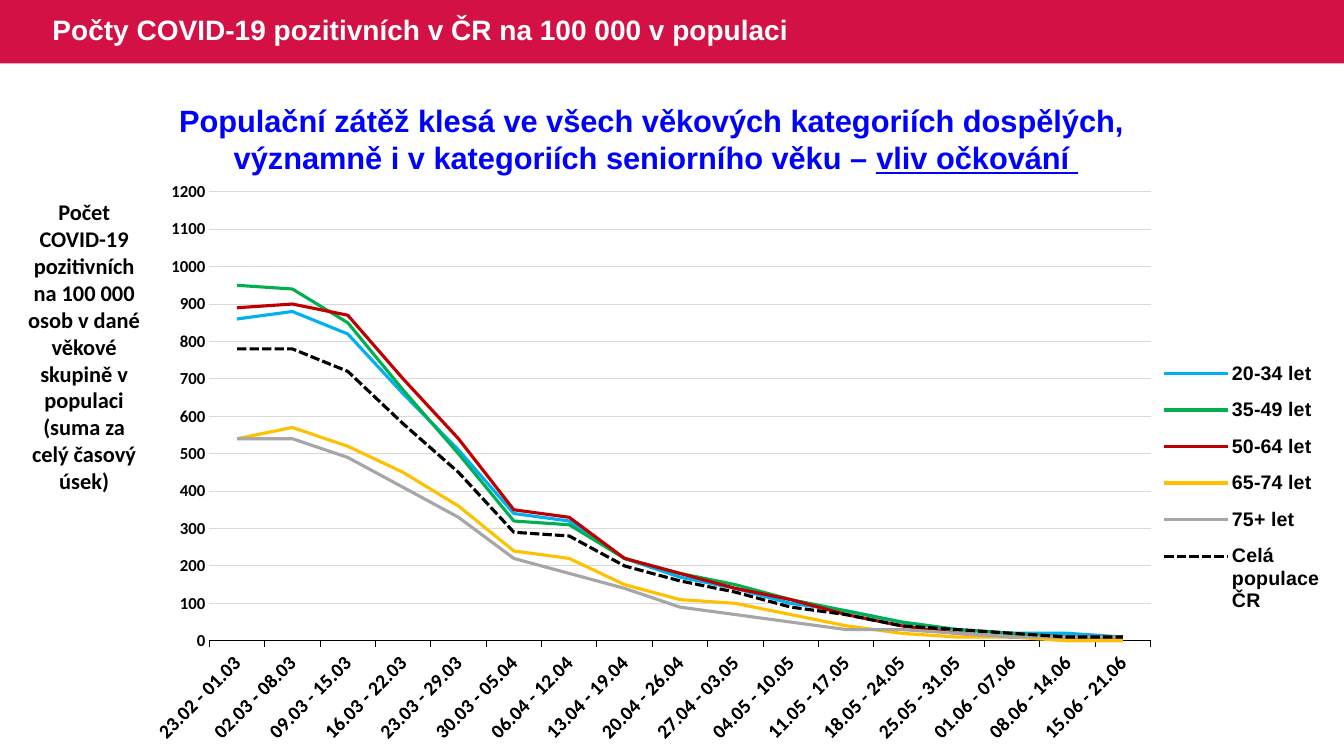
from lxml.etree import SubElement, Element
from pptx import Presentation
from pptx.chart.data import CategoryChartData
from pptx.dml.color import RGBColor
from pptx.enum.chart import XL_CHART_TYPE, XL_LEGEND_POSITION, XL_MARKER_STYLE, XL_TICK_MARK
from pptx.enum.dml import MSO_LINE
from pptx.enum.shapes import MSO_SHAPE
from pptx.enum.text import MSO_ANCHOR, MSO_AUTO_SIZE, PP_ALIGN
from pptx.oxml.ns import qn
from pptx.util import Inches, Pt

RED = RGBColor(0xD3, 0x11, 0x45)
WHITE = RGBColor(0xFF, 0xFF, 0xFF)
BLACK = RGBColor(0, 0, 0)
BLUE = RGBColor(0, 0, 0xFF)
GRID = RGBColor(0xD9, 0xD9, 0xD9)
SKY = RGBColor(0, 0xB0, 0xF0)
GREEN = RGBColor(0, 0xB0, 0x50)
WINE = RGBColor(0xC0, 0, 0)
GOLD = RGBColor(0xFF, 0xC0, 0)
GREY = RGBColor(0xA6, 0xA6, 0xA6)

WEEKS = [
    "23.02 - 01.03", "02.03 - 08.03", "09.03 - 15.03", "16.03 - 22.03",
    "23.03 - 29.03", "30.03 - 05.04", "06.04 - 12.04", "13.04 - 19.04",
    "20.04 - 26.04", "27.04 - 03.05", "04.05 - 10.05", "11.05 - 17.05",
    "18.05 - 24.05", "25.05 - 31.05", "01.06 - 07.06", "08.06 - 14.06",
    "15.06 - 21.06",
]
AGES = [
    ("20-34 let", SKY, [860, 880, 820, 660, 510, 340, 320, 220, 170, 140, 100, 80, 50, 30, 20, 20, 10]),
    ("35-49 let", GREEN, [950, 940, 850, 670, 500, 320, 310, 220, 180, 150, 110, 80, 50, 30, 20, 10, 10]),
    ("50-64 let", WINE, [890, 900, 870, 700, 540, 350, 330, 220, 180, 140, 110, 70, 40, 20, 10, 10, 10]),
    ("65-74 let", GOLD, [540, 570, 520, 450, 360, 240, 220, 150, 110, 100, 70, 40, 20, 10, 10, 0, 0]),
    ("75+ let", GREY, [540, 540, 490, 410, 330, 220, 180, 140, 90, 70, 50, 30, 30, 20, 10, 10, 10]),
    ("Celá populace ČR", BLACK, [780, 780, 720, 580, 450, 290, 280, 200, 160, 130, 90, 70, 40, 30, 20, 10, 10]),
]


class Page:
    styles = {
        "title": {"name": "Arial", "size": Pt(20), "bold": True, "color": WHITE},
        "claim": {"name": "Arial", "size": Pt(22), "bold": True, "color": BLUE},
        "note": {"name": "Calibri", "size": Pt(16), "bold": True, "color": BLACK},
        "key": {"name": "Arial", "size": Pt(14), "bold": True, "color": BLACK},
        "week": {"name": "Calibri", "size": Pt(14), "bold": True, "color": BLACK},
        "count": {"name": "Calibri", "size": Pt(12), "bold": True, "color": BLACK},
    }

    def __init__(self, deck):
        self.slide = deck.slides.add_slide(deck.slide_layouts[5])
        self.shapes = self.slide.shapes

    def apply(self, item, form):
        for key, value in form.items():
            setattr(item, key, value)

    def style(self, font, kind):
        form = dict(self.styles[kind])
        font.color.rgb = form.pop("color")
        self.apply(font, form)

    def stroke(self, line, color, width):
        line.color.rgb = color
        line.width = Pt(width)

    def place(self, item, box):
        self.apply(item, dict(zip(("left", "top", "width", "height"), map(Inches, box))))

    def band(self, box, color):
        bar = self.shapes.add_shape(MSO_SHAPE.RECTANGLE, *map(Inches, box))
        bar.shadow.inherit = False
        bar.fill.solid()
        bar.fill.fore_color.rgb = color
        bar.line.fill.background()
        tree = self.shapes._spTree
        tree.remove(bar._element)
        tree.insert(2, bar._element)

    def title(self, box, text):
        head = self.shapes.title
        self.place(head, box)
        frame = head.text_frame
        self.apply(frame, {"text": text, "word_wrap": True, "auto_size": MSO_AUTO_SIZE.NONE,
                           "vertical_anchor": MSO_ANCHOR.MIDDLE})
        para = frame.paragraphs[0]
        self.apply(para, {"alignment": PP_ALIGN.LEFT, "line_spacing": 0.9})
        self.style(para.runs[0].font, "title")

    def text(self, box, lines, kind):
        frame = self.shapes.add_textbox(*map(Inches, box)).text_frame
        self.apply(frame, {"word_wrap": True, "auto_size": MSO_AUTO_SIZE.SHAPE_TO_FIT_TEXT})
        for at, line in enumerate(lines):
            para = frame.add_paragraph() if at else frame.paragraphs[0]
            para.alignment = PP_ALIGN.CENTER
            for words, under in line:
                run = para.add_run()
                run.text = words
                self.style(run.font, kind)
                if under:
                    run.font.underline = True

    def layout(self, node, at, area, inner=False):
        for old in node.findall(qn("c:layout")):
            node.remove(old)
        top = Element(qn("c:layout"))
        node.insert(at, top)
        manual = SubElement(top, qn("c:manualLayout"))
        parts = [("layoutTarget", "inner")] if inner else []
        parts += [("xMode", "edge"), ("yMode", "edge")] + list(zip("xywh", area))
        for tag, value in parts:
            SubElement(manual, qn("c:" + tag)).set("val", str(value))

    def chart(self, box, weeks, ages):
        data = CategoryChartData()
        data.categories = weeks
        for name, _, counts in ages:
            data.add_series(name, counts)
        chart = self.shapes.add_chart(XL_CHART_TYPE.LINE, *map(Inches, box), data).chart
        chart.has_title = False
        self.style(chart.font, "key")
        plot = chart.plots[0]
        plot.vary_by_categories = False
        for series, (_, color, _) in zip(plot.series, ages):
            series.smooth = False
            series.marker.style = XL_MARKER_STYLE.NONE
            self.stroke(series.format.line, color, 2.25)
        series.format.line.dash_style = MSO_LINE.SQUARE_DOT
        self.axes(chart)
        chart.has_legend = True
        legend = chart.legend
        self.apply(legend, {"position": XL_LEGEND_POSITION.RIGHT, "include_in_layout": False})
        self.style(legend.font, "key")
        self.layout(legend._element, 1, (0.86, 0.29, 0.14, 0.47))
        area = chart._chartSpace.chart.plotArea
        self.layout(area, 0, (0.045, 0.026, 0.803, 0.759), True)

    def axes(self, chart):
        week, count = chart.category_axis, chart.value_axis
        self.apply(week, {"major_tick_mark": XL_TICK_MARK.OUTSIDE,
                          "minor_tick_mark": XL_TICK_MARK.NONE,
                          "has_major_gridlines": False})
        self.apply(count, {"major_tick_mark": XL_TICK_MARK.NONE,
                           "minor_tick_mark": XL_TICK_MARK.NONE,
                           "minimum_scale": 0, "maximum_scale": 1200, "major_unit": 100,
                           "has_major_gridlines": True})
        self.style(week.tick_labels.font, "week")
        self.style(count.tick_labels.font, "count")
        week._element.find(qn("c:txPr")).find(qn("a:bodyPr")).set("rot", "-2700000")
        self.stroke(week.format.line, BLACK, 0.75)
        count.format.line.fill.background()
        self.stroke(count.major_gridlines.format.line, GRID, 0.75)


def main():
    deck = Presentation()
    deck.slide_width, deck.slide_height = Inches(13.33), Inches(7.5)
    page = Page(deck)
    page.band((0, 0, 13.33, 0.63), RED)
    page.title((0.42, 0, 8.37, 0.63), "Počty COVID-19 pozitivních v ČR na 100 000 v populaci")
    page.chart((1.52, 1.75, 11.66, 5.87), WEEKS, AGES)
    page.text((0.15, 1.92, 1.37, 3.06), [[(
        "Počet COVID-19 pozitivních na 100 000 osob v dané věkové skupině "
        "v populaci (suma za celý časový úsek)", False)]], "note")
    page.text((0.3, 0.96, 12.41, 0.84), [
        [("Populační zátěž klesá ve všech věkových kategoriích dospělých, ", False)],
        [("významně i v kategoriích seniorního věku – ", False), ("vliv očkování ", True)],
    ], "claim")
    deck.save("out.pptx")


if __name__ == "__main__":
    main()
